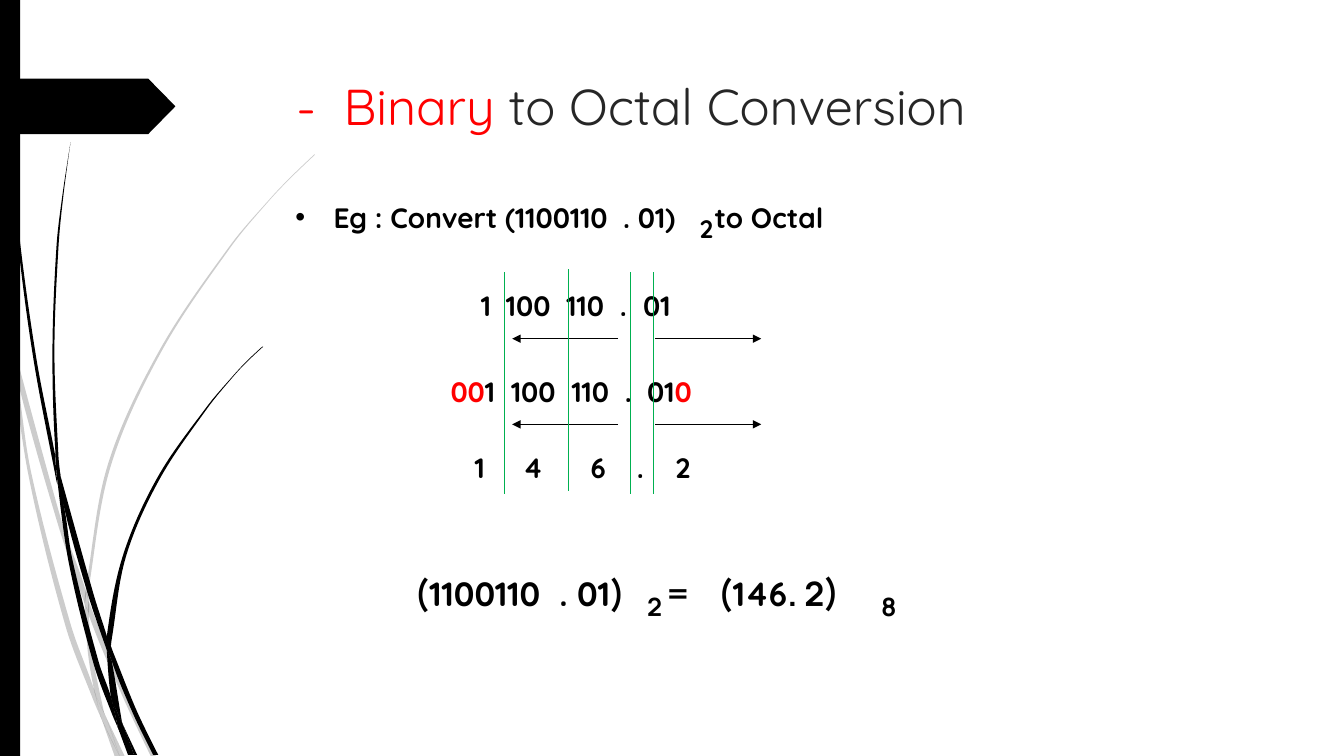
from lxml import etree
from math import hypot
from pptx import Presentation
from pptx.dml.color import RGBColor
from pptx.enum.shapes import MSO_CONNECTOR, MSO_SHAPE
from pptx.enum.text import MSO_ANCHOR, PP_ALIGN
from pptx.oxml.ns import qn
from pptx.util import Inches, Pt

STRAIGHT = MSO_CONNECTOR.STRAIGHT
RECTANGLE, PENTAGON = MSO_SHAPE.RECTANGLE, MSO_SHAPE.PENTAGON
TOP, LEFT = MSO_ANCHOR.TOP, PP_ALIGN.LEFT

BLACK = RGBColor(0x00, 0x00, 0x00)
DARK = RGBColor(0x26, 0x26, 0x26)
RED = RGBColor(0xFF, 0x00, 0x00)
GREEN = RGBColor(0x00, 0xB0, 0x50)
QUICKSAND, MANROPE = "Quicksand", "Manrope"
INSET = 0.1

# Corner and curve points of the grass blade parts
PALE_GRASS = [
    [(0.11, 3.5), (0.09, 3.22), (0, 2.82), (0, 2.99), (0.1, 3.44)],
    [(0.58, 5.22), (0.84, 5.99), (0.85, 5.86), (0.62, 5.2), (0.14, 3.45), (0.17, 3.76)],
    [(0.92, 6.07), (0.88, 5.96), (0.88, 6.1), (1.23, 6.94), (1.5, 7.51), (1.55, 7.51),
     (1.27, 6.92)],
    [(1.19, 7.51), (1.24, 7.51), (1.05, 7.11)],
    [(0.93, 6.83), (0.7, 6.19), (0.31, 4.69), (0.17, 3.76), (0.11, 3.5), (0.28, 4.7),
     (0.65, 6.21), (0.92, 6.93), (1.01, 7.14), (0.99, 7.07)],
    [(0.84, 5.99), (0.87, 6.46), (0.93, 6.83), (0.96, 6.92), (1.05, 7.11), (1.03, 7.06),
     (0.91, 6.46), (0.88, 6.1), (0.88, 6.08)],
    [(0.88, 5.84), (1.1, 4.62), (1.6, 3.49), (2.29, 2.45), (2.68, 1.98), (2.9, 1.75),
     (3.12, 1.54), (3.12, 1.53), (2.89, 1.75), (2.68, 1.97), (2.28, 2.44), (1.58, 3.48),
     (1.07, 4.61), (0.85, 5.84), (0.85, 5.86), (0.88, 5.96)],
    [(1.01, 7.14), (1.14, 7.51), (1.19, 7.51)],
    [(0.88, 6.08), (0.88, 6.1), (0.88, 5.96), (0.85, 5.86), (0.84, 5.99)],
    [(0.96, 6.92), (0.93, 6.83), (0.99, 7.07), (1.01, 7.14), (1.19, 7.51), (1.05, 7.11)],
]
DARK_GRASS = [
    [(0.07, 1.1), (0.17, 2.33), (0.33, 3.55), (0.56, 4.77), (0.57, 4.81), (0.55, 4.57),
     (0.55, 4.53), (0.36, 3.55), (0.19, 2.32), (0.08, 1.09), (0.05, 0.48), (0.04, 0),
     (0.03, 0), (0.04, 0.48)],
    [(0.88, 5.92), (1.06, 6.45), (1.06, 6.33), (1.06, 6.31), (0.93, 5.9), (0.6, 4.72),
     (0.64, 5.05)],
    [(1.13, 6.49), (1.1, 6.41), (1.11, 6.56), (1.32, 7.08), (1.52, 7.49), (1.57, 7.49),
     (1.36, 7.06)],
    [(1.1, 6.91), (0.98, 6.57), (0.72, 5.56), (0.64, 5.05), (0.57, 4.77), (0.68, 5.57),
     (0.93, 6.59), (1.11, 7.08), (1.17, 7.22), (1.16, 7.17)],
    [(0.6, 4.72), (0.58, 4.53), (0.54, 3.49), (0.58, 2.45), (0.63, 1.93), (0.7, 1.41),
     (0.62, 1.93), (0.56, 2.45), (0.52, 3.49), (0.55, 4.49)],
    [(1.33, 7.49), (1.36, 7.49), (1.22, 7.19)],
    [(0.57, 4.77), (0.64, 5.05), (0.6, 4.72), (0.55, 4.49), (0.55, 4.53)],
    [(1.11, 6.33), (1.25, 5.52), (1.58, 4.76), (2.05, 4.06), (2.31, 3.74), (2.45, 3.59),
     (2.61, 3.44), (2.6, 3.44), (2.45, 3.58), (2.31, 3.73), (2.04, 4.05), (1.56, 4.74),
     (1.22, 5.51), (1.06, 6.31), (1.1, 6.41)],
    [(1.17, 7.22), (1.27, 7.49), (1.31, 7.49)],
    [(1.06, 6.45), (1.1, 6.91), (1.16, 7.06), (1.22, 7.19), (1.21, 7.16), (1.11, 6.56),
     (1.09, 6.51)],
    [(1.06, 6.45), (1.09, 6.51), (1.11, 6.56), (1.1, 6.41), (1.06, 6.31), (1.06, 6.33)],
    [(1.16, 7.06), (1.1, 6.91), (1.16, 7.17), (1.17, 7.22), (1.3, 7.49), (1.33, 7.49),
     (1.22, 7.19)],
]


def tangent(before, point, after):
    """Unit direction of the outline at a point; none at a corner."""
    ax, ay = point[0] - before[0], point[1] - before[1]
    bx, by = after[0] - point[0], after[1] - point[1]
    if ax * bx + ay * by < 0.8 * hypot(ax, ay) * hypot(bx, by):
        return 0, 0
    length = hypot(ax + bx, ay + by)
    return (ax + bx) / length, (ay + by) / length


def paint(sp, color):
    sp.shadow.inherit = False
    sp.fill.solid()
    sp.fill.fore_color.rgb = color
    sp.line.fill.background()


def add_grass(slide, points, alpha=None):
    """Closed outline, its segments bent into curves between corners."""
    pts = [(Inches(x), Inches(y)) for x, y in points]
    builder = slide.shapes.build_freeform(*pts[0])
    builder.add_line_segments(pts[1:] + pts[:1], close=True)
    sp = builder.convert_to_shape()
    paint(sp, BLACK)
    n = len(pts)
    slopes = [tangent(pts[i - 1], pts[i], pts[(i + 1) % n]) for i in range(n)]
    for i, segment in enumerate(list(sp._element.iter(qn("a:lnTo")))):
        j = (i + 1) % n
        reach = hypot(pts[j][0] - pts[i][0], pts[j][1] - pts[i][1]) / 3
        curve = etree.Element(qn("a:cubicBezTo"))
        for k, pull in ((i, reach), (j, -reach)):
            x, y = (round(c + pull * s) for c, s in zip(pts[k], slopes[k]))
            etree.SubElement(curve, qn("a:pt"), x=str(x - sp.left), y=str(y - sp.top))
        curve.append(segment[0])
        segment.getparent().replace(segment, curve)
    if alpha:
        color = next(sp._element.spPr.iter(qn("a:srgbClr")))
        etree.SubElement(color, qn("a:alpha"), val=str(alpha * 1000))


def add_block(slide, kind, x, y, w, h):
    sp = slide.shapes.add_shape(kind, Inches(x), Inches(y), Inches(w), Inches(h))
    paint(sp, BLACK)
    return sp


def add_run(p, text, size=20, font=QUICKSAND, color=BLACK, bold=True, spacing=0):
    r = p.add_run()
    r.text = text
    r.font.size, r.font.name, r.font.bold = Pt(size), font, bold
    r.font.color.rgb = color
    if spacing:
        r.font._element.set("spc", str(round(spacing * 100)))


def add_text(slide, x, y, w, h, runs, stops=(), **style):
    """Text box of (text, format) runs; stops are tab places on the slide."""
    sp = slide.shapes.add_textbox(Inches(x), Inches(y), Inches(w), Inches(h))
    tf = sp.text_frame
    tf.word_wrap = True
    p = tf.paragraphs[0]
    if stops:
        tabs = etree.SubElement(p._p.get_or_add_pPr(), qn("a:tabLst"))
        for stop in stops:
            etree.SubElement(tabs, qn("a:tab"), pos=str(Inches(stop - x - INSET)), algn="l")
    for text, own in runs:
        add_run(p, text, **{**style, **own})
    return p


def add_bullet(p, indent):
    pPr = p._p.get_or_add_pPr()
    pPr.set("marL", str(Inches(indent)))
    pPr.set("indent", str(-Inches(indent)))
    color = etree.SubElement(pPr, qn("a:buClr"))
    etree.SubElement(color, qn("a:srgbClr"), val=str(BLACK))
    etree.SubElement(pPr, qn("a:buFont"), typeface="Arial")
    etree.SubElement(pPr, qn("a:buChar"), char="•")


def add_line(slide, x1, y1, x2, y2, color, arrow=False):
    line = slide.shapes.add_connector(STRAIGHT, Inches(x1), Inches(y1), Inches(x2), Inches(y2))
    line.line.color.rgb = color
    line.line.width = Pt(0.75)
    if arrow:
        etree.SubElement(line.line._get_or_add_ln(), qn("a:tailEnd"), type="triangle")
    etree.SubElement(line._element.spPr, qn("a:effectLst"))


def set_title(slide):
    title = slide.shapes.title
    title.left, title.top = Inches(2.84), Inches(0.69)
    title.width, title.height = Inches(9.75), Inches(1.4)
    title.text_frame.vertical_anchor = TOP
    p = title.text_frame.paragraphs[0]
    p.alignment = LEFT
    add_run(p, "-  Binary ", size=36, color=RED, bold=False)
    add_run(p, "to Octal Conversion", size=36, color=DARK, bold=False)


def main():
    prs = Presentation()
    prs.slide_width, prs.slide_height = Inches(13.33), Inches(7.5)
    slide = prs.slides.add_slide(prs.slide_layouts[5])
    # Decoration on the left
    for points in PALE_GRASS:
        add_grass(slide, points, alpha=20)
    for points in DARK_GRASS:
        add_grass(slide, points)
    add_block(slide, RECTANGLE, 0, 0, 0.2, 7.5)
    tag = add_block(slide, PENTAGON, 0, 0.78, 1.74, 0.55)
    tag.adjustments[0] = 0.49
    # Title and task
    set_title(slide)
    task = add_text(slide, 2.83, 1.94, 9.75, 0.74, [
        ("Eg : Convert (1100110", {}), (" ", {"spacing": 5.2}), (". 01)", {}),
        (" ", {"spacing": 22.4}), ("to Octal", {})])
    add_bullet(task, 0.38)
    # Result
    manrope = {"font": MANROPE}
    add_text(slide, 4.01, 5.63, 4.99, 0.5, [
        ("(", manrope), ("1100110\t. 01", {}), (")\t=\t(", manrope),
        ("146", {}), (". 2)", manrope)], stops=(5.55, 6.6, 7.12), size=24)
    # Number bases
    for digit, x, y, font in (("2", 6.84, 2.07, QUICKSAND), ("2", 6.32, 5.82, MANROPE),
                              ("8", 8.64, 5.82, MANROPE)):
        add_text(slide, x, y, 0.62, 0.4, [(digit, {})], size=18, font=font)
    # Digits in groups of three, padded groups, octal digits
    red = {"color": RED}
    add_text(slide, 4.67, 2.81, 2.41, 0.44, [("1\t100\t110\t.\t01", {})],
             stops=(5.02, 5.62, 6.15, 6.38))
    add_text(slide, 4.37, 3.67, 2.88, 0.44,
             [("00", red), ("1\t100\t110\t.\t01", {}), ("0", red)],
             stops=(5.07, 5.67, 6.2, 6.42))
    add_text(slide, 4.61, 4.42, 2.96, 0.44, [("1\t4\t6\t.\t2", {})],
             stops=(5.19, 5.86, 6.32, 6.7))
    # Reading directions and group borders
    for y in (3.36, 4.21):
        add_line(slide, 6.13, y, 5.08, y, BLACK, arrow=True)
        add_line(slide, 6.5, y, 7.55, y, BLACK, arrow=True)
    for x, top in ((5.64, 2.67), (5, 2.7), (6.25, 2.7), (6.48, 2.7)):
        add_line(slide, x, top, x, top + 2.2, GREEN)
    prs.save("out.pptx")


if __name__ == "__main__":
    main()
